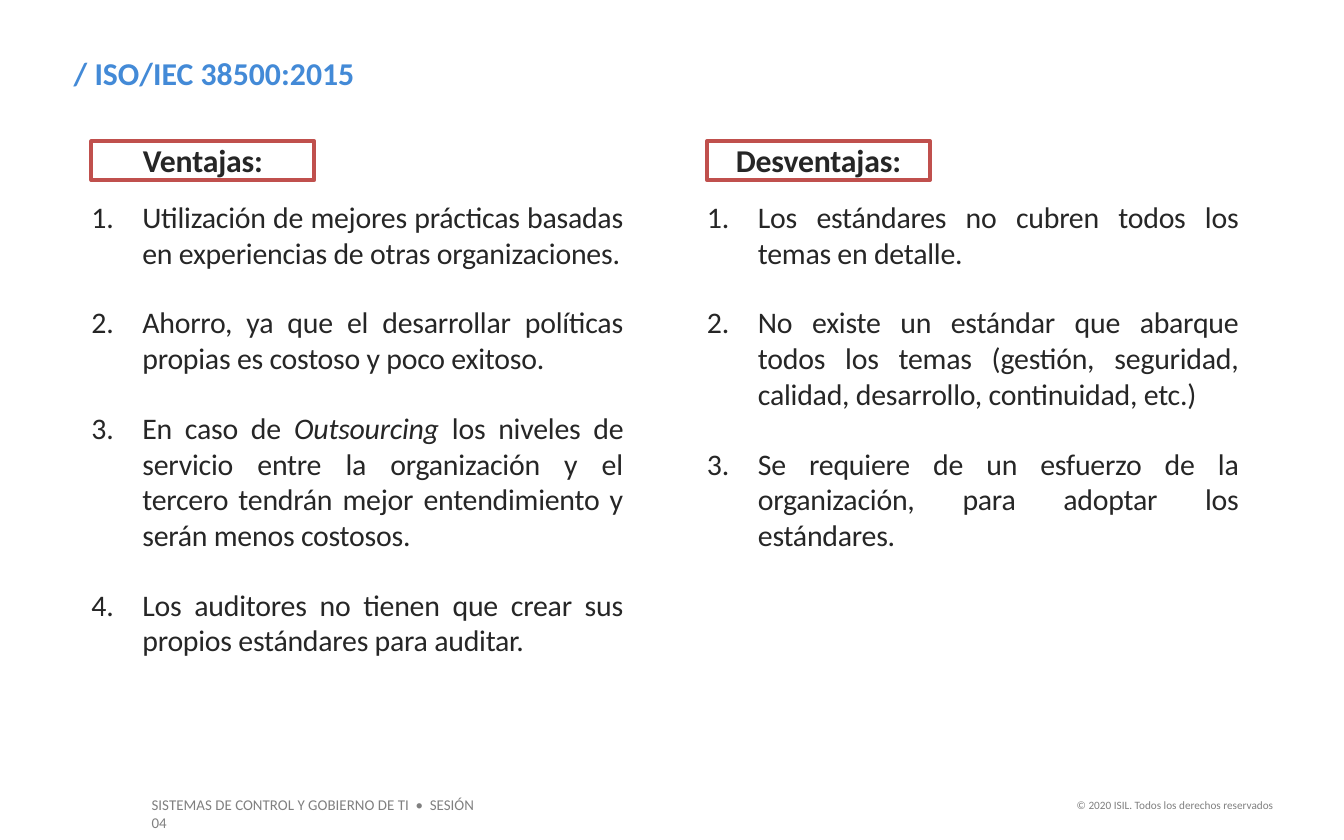
import pptx
import pptx.util
import pptx.dml.color
import pptx.enum.shapes
import pptx.enum.text
import pptx.oxml.ns
import lxml.etree

Inches = pptx.util.Inches
Pt = pptx.util.Pt
RGBColor = pptx.dml.color.RGBColor
ALIGN = pptx.enum.text.PP_ALIGN

BLUE = RGBColor(0x43, 0x8A, 0xD7)
DARK = RGBColor(0x26, 0x26, 0x26)
GREY = RGBColor(0x80, 0x80, 0x80)
RED = RGBColor(0xC0, 0x50, 0x4D)
WHITE = RGBColor(0xFF, 0xFF, 0xFF)

# Column grid, in inches
FIRST_COLUMN, COLUMN_STEP, COLUMN_WIDTH = 0.68, 4.58, 3.96
HEADING_TOP, HEADING_WIDTH, HEADING_HEIGHT = 1.05, 1.66, 0.29
LIST_TOP = 1.48
INDENT = 0.38

# Each item is a list of text pieces; every second piece is italic
COLUMNS = [
    ("Ventajas:", 3.45, [
        ["Utilización de mejores prácticas basadas en experiencias de otras organizaciones."],
        ["Ahorro, ya que el desarrollar políticas propias es costoso y poco exitoso."],
        ["En caso de ", "Outsourcing",
         " los niveles de servicio entre la organización y el tercero tendrán "
         "mejor entendimiento y serán menos costosos."],
        ["Los auditores no tienen que crear sus propios estándares para auditar."],
    ]),
    ("Desventajas:", 2.66, [
        ["Los estándares no cubren todos los temas en detalle."],
        ["No existe un estándar que abarque todos los temas (gestión, seguridad, "
         "calidad, desarrollo, continuidad, etc.)"],
        ["Se requiere de un esfuerzo de la organización, para adoptar los estándares."],
    ]),
]


def format_run(run, size, color, bold=False, italic=False, spacing=None):
    run.font.name = "Calibri"
    run.font.size = Pt(size)
    run.font.color.rgb = color
    run.font.bold = bold
    run.font.italic = italic
    if spacing is not None:
        run.font._element.set("spc", str(round(spacing * 100)))


def clear_margins(text_frame):
    text_frame.margin_left = text_frame.margin_right = 0
    text_frame.margin_top = text_frame.margin_bottom = 0


def add_text(slide, left, top, width, height):
    shape = slide.shapes.add_textbox(
        Inches(left), Inches(top), Inches(width), Inches(height))
    shape.text_frame.word_wrap = True
    return shape.text_frame


def add_line(slide, text, box, size, color, bold=False, alignment=ALIGN.LEFT):
    paragraph = add_text(slide, *box).paragraphs[0]
    paragraph.text = text
    paragraph.alignment = alignment
    format_run(paragraph.runs[0], size, color, bold)


def number_paragraph(paragraph):
    properties = paragraph._p.get_or_add_pPr()
    properties.set("marL", str(Inches(INDENT)))
    properties.set("indent", str(-Inches(INDENT)))
    qn = pptx.oxml.ns.qn
    lxml.etree.SubElement(properties, qn("a:buFont"), typeface="+mj-lt")
    lxml.etree.SubElement(properties, qn("a:buAutoNum"), type="arabicPeriod")
    tabs = lxml.etree.SubElement(properties, qn("a:tabLst"))
    lxml.etree.SubElement(tabs, qn("a:tab"), pos=str(Inches(0.13)), algn="l")


def add_numbered_list(slide, left, height, items):
    text_frame = add_text(slide, left, LIST_TOP, COLUMN_WIDTH, height)
    clear_margins(text_frame)
    for index, pieces in enumerate(items):
        paragraph = text_frame.add_paragraph() if index else text_frame.paragraphs[0]
        number_paragraph(paragraph)
        paragraph.alignment = ALIGN.JUSTIFY
        paragraph.space_after = Pt(18)
        for position, piece in enumerate(pieces):
            run = paragraph.add_run()
            run.text = piece
            format_run(run, 16, DARK, italic=position % 2 == 1, spacing=-0.1)


def add_heading(slide, left, text):
    shape = slide.shapes.add_shape(
        pptx.enum.shapes.MSO_SHAPE.RECTANGLE, Inches(left), Inches(HEADING_TOP),
        Inches(HEADING_WIDTH), Inches(HEADING_HEIGHT))
    shape.shadow.inherit = False
    shape.fill.solid()
    shape.fill.fore_color.rgb = WHITE
    shape.line.color.rgb = RED
    shape.line.width = Pt(2)
    text_frame = shape.text_frame
    clear_margins(text_frame)
    text_frame.vertical_anchor = pptx.enum.text.MSO_ANCHOR.TOP
    paragraph = text_frame.paragraphs[0]
    paragraph.text = text
    paragraph.alignment = ALIGN.CENTER
    format_run(paragraph.runs[0], 17, DARK, bold=True, spacing=-0.1)


def main():
    presentation = pptx.Presentation()
    presentation.slide_width = Inches(10)
    presentation.slide_height = Inches(6.25)
    slide = presentation.slides.add_slide(presentation.slide_layouts[6])

    # Footer
    add_line(slide, "SISTEMAS DE CONTROL Y GOBIERNO DE TI  •  SESIÓN 04",
             (1.03, 5.87, 2.73, 0.24), 8, GREY)
    add_line(slide, "© 2020 ISIL. Todos los derechos reservados",
             (7.88, 5.89, 1.69, 0.2), 6, GREY, alignment=ALIGN.RIGHT)

    # Title
    add_line(slide, "/ ISO/IEC 38500:2015", (0.45, 0.35, 7.88, 0.39), 17, BLUE, bold=True)

    # Two columns, each a framed heading over a numbered list
    for column, (heading, height, items) in enumerate(COLUMNS):
        left = FIRST_COLUMN + column * COLUMN_STEP
        add_numbered_list(slide, left, height, items)
        add_heading(slide, left, heading)

    presentation.save("out.pptx")


if __name__ == "__main__":
    main()
